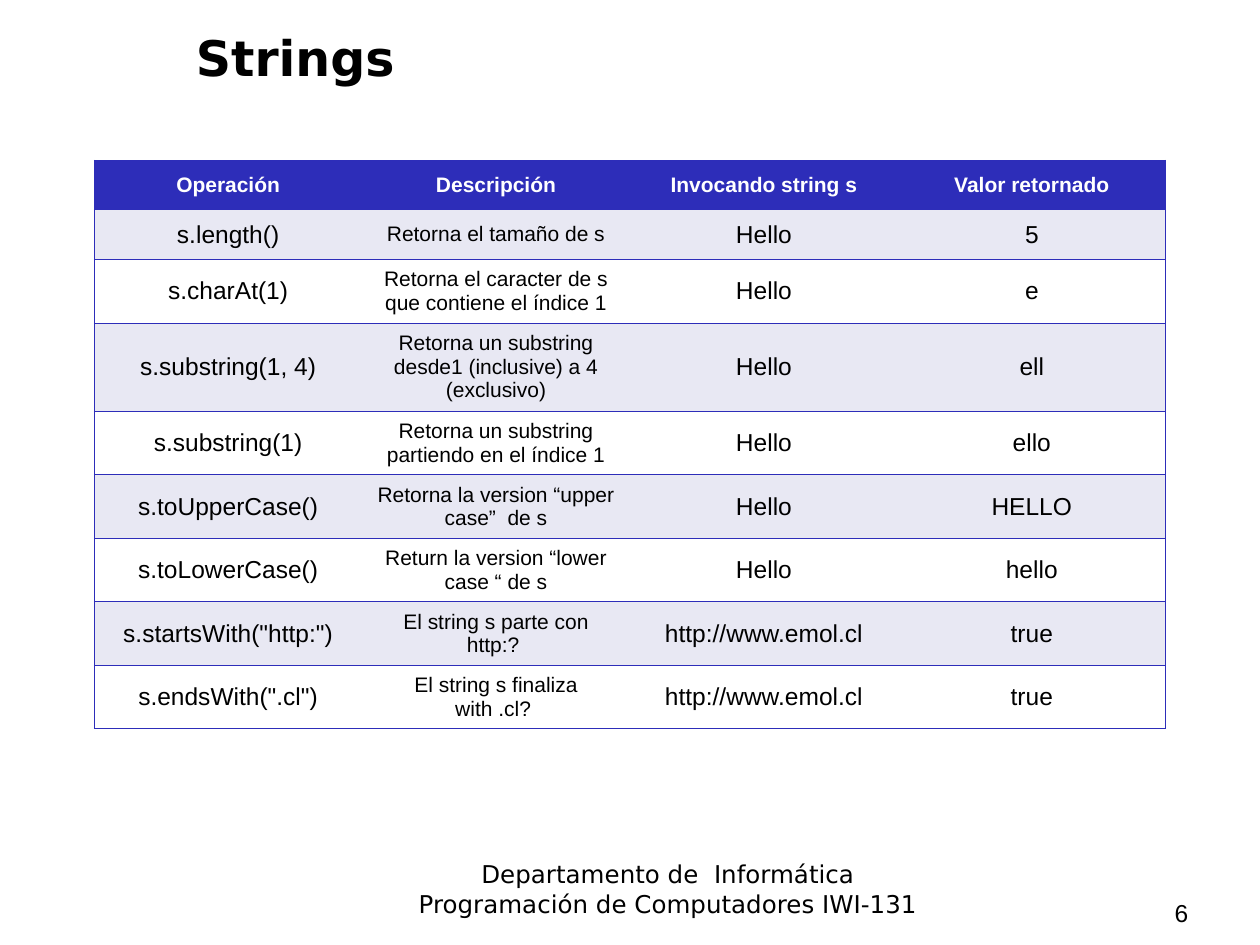
from lxml import etree
from pptx import Presentation
from pptx.dml.color import RGBColor
from pptx.enum.text import MSO_ANCHOR, PP_ALIGN
from pptx.oxml.ns import qn
from pptx.util import Cm, Pt

LEFT, CENTER = PP_ALIGN.LEFT, PP_ALIGN.CENTER
TOP, MIDDLE = MSO_ANCHOR.TOP, MSO_ANCHOR.MIDDLE

HEADERS = ["Operación", "Descripción", "Invocando string s", "Valor retornado"]
OPERATIONS = [
    ("s.length()", "Retorna el tamaño de s", "Hello", "5"),
    ("s.charAt(1)", "Retorna el caracter de s que contiene el índice 1", "Hello", "e"),
    ("s.substring(1, 4)", "Retorna un substring desde1 (inclusive) a 4 (exclusivo)",
     "Hello", "ell"),
    ("s.substring(1)", "Retorna un substring partiendo en el índice 1", "Hello", "ello"),
    ("s.toUpperCase()", "Retorna la version “upper case”  de s", "Hello", "HELLO"),
    ("s.toLowerCase()", "Return la version “lower case “ de s", "Hello", "hello"),
    ('s.startsWith("http:")', "El string s parte con http:? ", "http://www.emol.cl", "true"),
    ('s.endsWith(".cl")', "El string s finaliza with .cl? ", "http://www.emol.cl", "true"),
]
ROW_HEIGHTS = [1, 1, 1.28, 1.78] + [1.28] * 5
DESCRIPTION_COLUMN = 1


def color(value):
    return RGBColor.from_string(value)


class SlideBuilder:
    heading_font = "DejaVu Sans"
    body_font = "Arial"
    ink = "000000"
    accent = "2D2DB9"
    band = "E8E8F3"
    white = "FFFFFF"

    def __init__(self, page):
        self.page = page

    def style(self, para, size, font, ink, bold=False, align=CENTER):
        para.alignment = align
        para.font.size = Pt(size)
        para.font.name = font
        para.font.bold = bold
        para.font.color.rgb = color(ink)

    def text(self, left, top, width, height, lines, size, font,
             bold=False, align=CENTER, anchor=TOP):
        box = self.page.shapes.add_textbox(Cm(left), Cm(top), Cm(width), Cm(height))
        frame = box.text_frame
        frame.word_wrap = True
        frame.vertical_anchor = anchor
        frame.text = "\n".join(lines)
        for para in frame.paragraphs:
            self.style(para, size, font, self.ink, bold, align)

    def border(self, cell, sides):
        """Draw the given sides (of L, R, T, B) and clear the others."""
        properties = cell._tc.get_or_add_tcPr()
        for side in "LRTB":
            line = etree.SubElement(properties, qn(f"a:ln{side}"), w=str(Pt(0.45)))
            if side in sides:
                fill = etree.SubElement(line, qn("a:solidFill"))
                etree.SubElement(fill, qn("a:srgbClr"), val=self.accent)
            else:
                etree.SubElement(line, qn("a:noFill"))

    def cell(self, cell, text, fill, sides, size, ink, bold):
        self.border(cell, sides)
        cell.fill.solid()
        cell.fill.fore_color.rgb = color(fill)
        cell.vertical_anchor = MIDDLE
        cell.text = text
        self.style(cell.text_frame.paragraphs[0], size, self.body_font, ink, bold)

    def table(self, left, top, width, row_heights, rows):
        """Add a table with a header row, banded rows and equal columns."""
        last = len(rows[0]) - 1
        table = self.page.shapes.add_table(
            len(rows), last + 1, Cm(left), Cm(top), Cm(width), Cm(sum(row_heights))).table
        for row, height in zip(table.rows, row_heights):
            row.height = Cm(height)
        for r, texts in enumerate(rows):
            header = r == 0
            fill = self.accent if header else self.band if r % 2 else self.white
            ink = self.white if header else self.ink
            for c, text in enumerate(texts):
                sides = "TB" + ("L" if c == 0 else "") + ("R" if c == last else "")
                size = 12 if header or c == DESCRIPTION_COLUMN else 14
                self.cell(table.cell(r, c), text, fill, sides, size, ink, header)


def main():
    deck = Presentation()
    deck.slide_width, deck.slide_height = Cm(25.4), Cm(19.05)
    slide = SlideBuilder(deck.slides.add_slide(deck.slide_layouts[6]))

    slide.text(6.48, 17.2, 13.97, 1.45,
               ["Departamento de  Informática", "Programación de Computadores IWI-131"],
               14, slide.heading_font)
    slide.text(3.7, 0.2, 21.2, 1.9, ["Strings"], 28, slide.heading_font,
               bold=True, align=LEFT, anchor=MIDDLE)
    slide.table(1.9, 3.23, 21.6, ROW_HEIGHTS, [HEADERS, *OPERATIONS])
    slide.text(22.23, 17.98, 3.17, 0.85, ["6"], 14, slide.body_font)

    deck.save("out.pptx")


if __name__ == "__main__":
    main()
